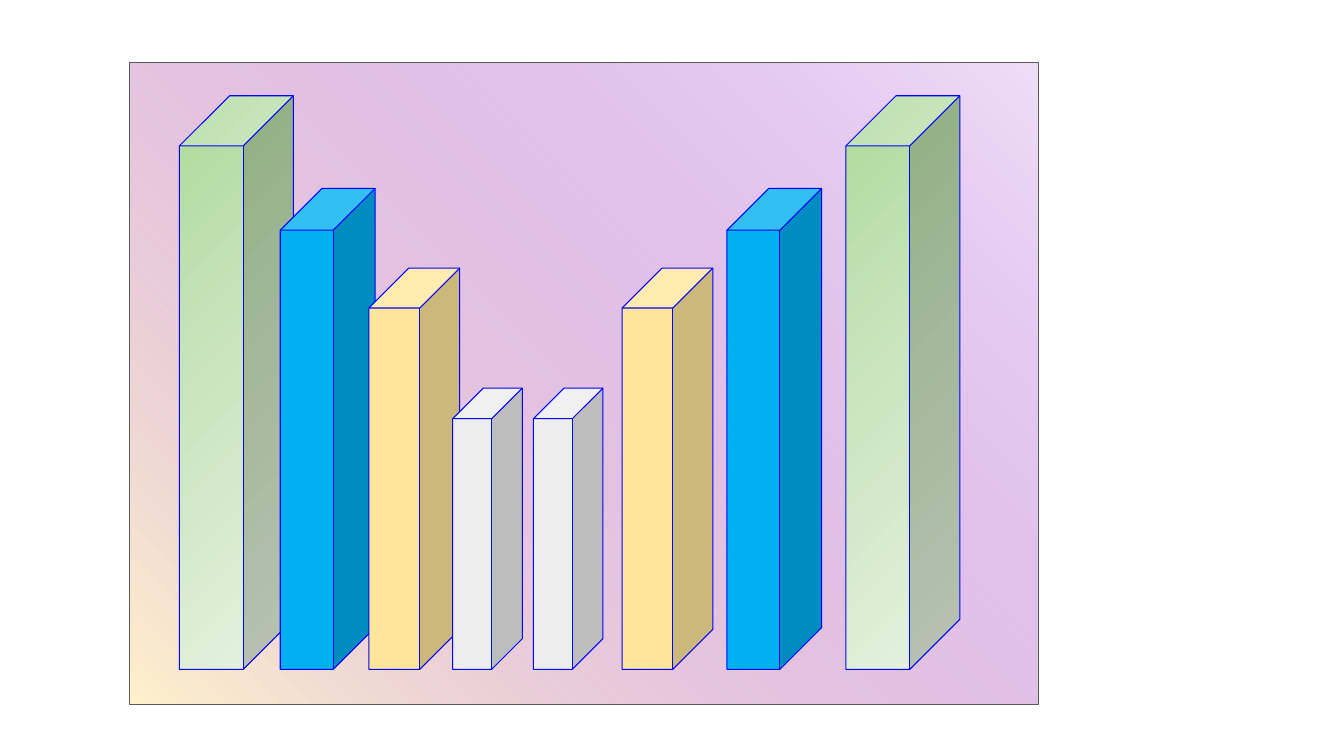
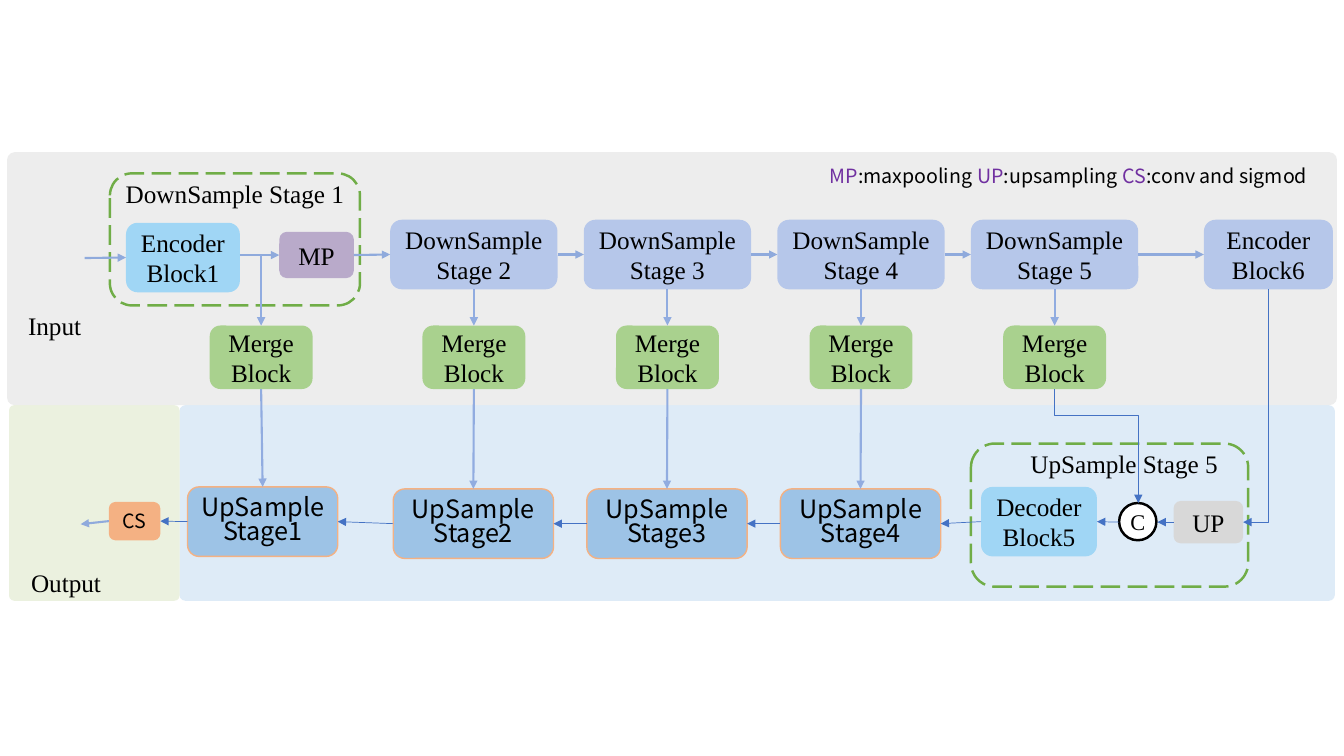
from lxml import etree
from pptx import Presentation
from pptx.dml.color import RGBColor
from pptx.enum.dml import MSO_LINE
from pptx.enum.shapes import MSO_CONNECTOR, MSO_SHAPE
from pptx.enum.text import MSO_ANCHOR, PP_ALIGN
from pptx.oxml.ns import qn
from pptx.util import Inches, Pt

RECT, ROUND, CUBE, OVAL = (MSO_SHAPE.RECTANGLE, MSO_SHAPE.ROUNDED_RECTANGLE,
                           MSO_SHAPE.CUBE, MSO_SHAPE.OVAL)
STRAIGHT, ELBOW = MSO_CONNECTOR.STRAIGHT, MSO_CONNECTOR.ELBOW
LEFT, CENTER = PP_ALIGN.LEFT, PP_ALIGN.CENTER
TOP_ANCHOR, MIDDLE = MSO_ANCHOR.TOP, MSO_ANCHOR.MIDDLE
LONG_DASH = MSO_LINE.LONG_DASH
TOP, LEFT_SIDE, BOTTOM, RIGHT_SIDE = range(4)

SERIF, SANS = "Times New Roman", "Noto Sans CJK SC"

BLACK = RGBColor(0x00, 0x00, 0x00)
WHITE = RGBColor(0xFF, 0xFF, 0xFF)
DARK_GREY = RGBColor(0x59, 0x59, 0x59)
PALE_GREY = RGBColor(0xED, 0xED, 0xED)
MID_GREY = RGBColor(0xD8, 0xD8, 0xD8)
EDGE_BLUE = RGBColor(0x00, 0x00, 0xFF)
BRIGHT_BLUE = RGBColor(0x00, 0xB0, 0xF0)
SAND = RGBColor(0xFF, 0xE6, 0x99)
PANEL_BLUE = RGBColor(0xDE, 0xEB, 0xF7)
PANEL_GREEN = RGBColor(0xEB, 0xF1, 0xDF)
CODER_BLUE = RGBColor(0xA0, 0xD6, 0xF5)
DOWN_BLUE = RGBColor(0xB6, 0xC7, 0xEA)
UP_BLUE = RGBColor(0x9D, 0xC3, 0xE6)
MERGE_GREEN = RGBColor(0xA9, 0xD1, 0x8E)
FRAME_GREEN = RGBColor(0x70, 0xAD, 0x47)
MAUVE = RGBColor(0xB9, 0xAA, 0xCA)
ORANGE = RGBColor(0xF4, 0xB1, 0x83)
PURPLE = RGBColor(0x70, 0x30, 0xA0)

# Gradient stops: position, colour, opacity (all percent but the colour)
LEAF_STOPS = [(0, "AEDA9B", 100), (50, "CDE6C2", 100), (100, "E6F2E1", 100)]
BACKDROP_STOPS = [(0, "FFF2CC", 100), (100, "9F39D5", 17)]

# Arrow styles: colour, width
FLOW = (RGBColor(0x8F, 0xAA, 0xDC), 1.5)
DROP = (RGBColor(0x91, 0xAC, 0xE0), 1.5)
THIN = (RGBColor(0x44, 0x72, 0xC4), 0.5)


def add_box(page, kind, at, fill=None, line=None, width=0.75, adjust=None):
    """Add a preset shape without shadow; no fill or line unless given."""
    box = page.shapes.add_shape(kind, *map(Inches, at))
    box.shadow.inherit = False
    if adjust is not None:
        box.adjustments[0] = adjust
    if fill is None:
        box.fill.background()
    else:
        box.fill.solid()
        box.fill.fore_color.rgb = fill
    if line is None:
        box.line.fill.background()
    else:
        box.line.color.rgb = line
        box.line.width = Pt(width)
    return box


def set_gradient(box, stops, angle):
    """Replace the fill of a box by a linear gradient."""
    old_fill = box.fill._xPr.find(qn("a:noFill"))
    gradient = etree.Element(qn("a:gradFill"), rotWithShape="1")
    stop_list = etree.SubElement(gradient, qn("a:gsLst"))
    for position, colour, opacity in stops:
        stop = etree.SubElement(stop_list, qn("a:gs"), pos=str(position * 1000))
        value = etree.SubElement(stop, qn("a:srgbClr"), val=colour)
        if opacity < 100:
            etree.SubElement(value, qn("a:alpha"), val=str(opacity * 1000))
    etree.SubElement(gradient, qn("a:lin"), ang=str(angle * 60000), scaled="0")
    old_fill.getparent().replace(old_fill, gradient)


def write(box, text, size=18, font=SERIF, align=CENTER, anchor=MIDDLE):
    """Write one paragraph and format its runs."""
    frame = box.text_frame
    frame.word_wrap = True
    frame.vertical_anchor = anchor
    frame.text = text
    para = frame.paragraphs[0]
    para.alignment = align
    for span in para.runs:
        format_span(span, size, font, BLACK)
    return para


def format_span(span, size, font, colour):
    span.font.size = Pt(size)
    span.font.name = font
    span.font.color.rgb = colour


def add_block(page, at, text, fill, **text_style):
    box = add_box(page, ROUND, at, fill)
    write(box, text, **text_style)
    return box


def add_up_stage(page, at, number):
    box = add_box(page, ROUND, at, UP_BLUE, ORANGE, 1)
    write(box, f"UpSample Stage{number}", font=SANS).line_spacing = 0.78
    return box


def add_label(page, at, text, align=LEFT):
    box = page.shapes.add_textbox(*map(Inches, at))
    write(box, text, align=align, anchor=TOP_ANCHOR)


def add_frame(page, at):
    frame = add_box(page, ROUND, at, line=FRAME_GREEN, width=1.75)
    frame.line.dash_style = LONG_DASH


def style_arrow(arrow, style):
    colour, width = style
    arrow.line.color.rgb = colour
    arrow.line.width = Pt(width)
    etree.SubElement(arrow.line._get_or_add_ln(), qn("a:tailEnd"), type="triangle")
    etree.SubElement(arrow._element.spPr, qn("a:effectLst"))


def add_arrow(page, start, end, style):
    """Each end is a point (x, y) or a joint (box, side)."""
    points = []
    for first, second in (start, end):
        joined = hasattr(first, "shape_id")
        points += [0, 0] if joined else [Inches(first), Inches(second)]
    arrow = page.shapes.add_connector(STRAIGHT, *points)
    if hasattr(start[0], "shape_id"):
        arrow.begin_connect(*start)
    if hasattr(end[0], "shape_id"):
        arrow.end_connect(*end)
    style_arrow(arrow, style)


def add_elbow(page, start, end, style, bend=None):
    """Arrow that leaves downwards; with bend it turns twice, else once."""
    across, down = end[0] - start[0], end[1] - start[1]
    middle_x, middle_y = (start[0] + end[0]) / 2, (start[1] + end[1]) / 2
    half = down / 2 if across < 0 else -down / 2
    rise = abs(across) / 2
    arrow = page.shapes.add_connector(
        ELBOW, Inches(middle_x - half), Inches(middle_y - rise),
        Inches(middle_x + half), Inches(middle_y + rise))
    properties = arrow._element.spPr
    turn = 90 if across < 0 else 270
    properties.find(qn("a:xfrm")).set("rot", str(turn * 60000))
    geometry = properties.find(qn("a:prstGeom"))
    if bend is None:
        geometry.set("prst", "bentConnector2")
    else:
        guides = geometry.find(qn("a:avLst"))
        if guides is None:
            guides = etree.SubElement(geometry, qn("a:avLst"))
        etree.SubElement(guides, qn("a:gd"), name="adj1",
                         fmla=f"val {round(bend * 100000)}")
    style_arrow(arrow, style)


def build_pillars(page):
    backdrop = add_box(page, RECT, (1.28, 0.62, 9.02, 6.37), line=DARK_GREY)
    set_gradient(backdrop, BACKDROP_STOPS, 225)
    backdrop._element.spPr.find(qn("a:xfrm")).set("flipH", "1")

    # Mirrored pairs: left of each pillar, width, height, fill
    floor = 6.64
    pairs = [((1.78, 8.39), 1.13, 5.69, None),
             ((2.78, 7.21), 0.94, 4.77, BRIGHT_BLUE),
             ((3.66, 6.17), 0.90, 3.98, SAND),
             ((4.49, 5.29), 0.69, 2.79, PALE_GREY)]
    for lefts, width, height, fill in pairs:
        for left in lefts:
            pillar = add_box(page, CUBE, (left, floor - height, width, height),
                             fill, EDGE_BLUE, adjust=0.44)
            if fill is None:
                set_gradient(pillar, LEAF_STOPS, 45)


def build_network(page):
    # Panels, frames and labels
    for at, fill in [((1.78, 4.02, 11.46, 1.94), PANEL_BLUE),
                     ((0.09, 4.02, 1.69, 1.94), PANEL_GREEN),
                     ((0.07, 1.51, 13.19, 2.51), PALE_GREY)]:
        add_box(page, ROUND, at, fill, adjust=0.03)
    add_frame(page, (1.09, 1.72, 2.48, 1.31))
    add_frame(page, (9.63, 4.4, 2.75, 1.42))
    add_label(page, (0.18, 3.03, 0.94, 0.4), "Input")
    add_label(page, (0.21, 5.58, 0.94, 0.4), "Output")
    add_label(page, (1.09, 1.72, 2.48, 0.4), "DownSample Stage 1", CENTER)
    add_label(page, (9.91, 4.4, 2.48, 0.4), "UpSample Stage 5", CENTER)
    add_legend(page)

    # Encoder row
    encoder = add_block(page, (1.25, 2.21, 1.13, 0.69), "Encoder Block1", CODER_BLUE)
    pooling = add_block(page, (2.77, 2.3, 0.74, 0.46), "MP", MAUVE)
    centers = [4.7 + 1.92 * column for column in range(4)]
    downs = [add_block(page, (center - 0.83, 2.18, 1.66, 0.69),
                       f"DownSample Stage {number}", DOWN_BLUE)
             for number, center in enumerate(centers, 2)]
    last_encoder = add_block(page, (11.94, 2.18, 1.28, 0.69), "Encoder Block6", DOWN_BLUE)
    merges = [add_block(page, (center - 0.51, 3.23, 1.02, 0.63), "Merge Block", MERGE_GREEN)
              for center in [2.59] + centers]

    # Decoder row
    ups = [add_up_stage(page, (1.86, 4.83, 1.49, 0.69), 1)]
    ups += [add_up_stage(page, (center - 0.8, 4.85, 1.59, 0.69), number)
            for number, center in enumerate(centers[:3], 2)]
    decoder = add_block(page, (9.73, 4.83, 1.15, 0.69), "Decoder Block5", CODER_BLUE)
    upsampling = add_block(page, (11.64, 4.97, 0.69, 0.42), "UP", MID_GREY)
    output = add_block(page, (1.08, 4.98, 0.51, 0.38), "CS", ORANGE, size=14, font=SANS)
    concat = add_box(page, OVAL, (11.1, 4.99, 0.37, 0.37), WHITE, BLACK, 1.75)
    write(concat, "C", size=16)
    frame = concat.text_frame
    frame.margin_left = frame.margin_right = frame.margin_top = frame.margin_bottom = 0

    # Arrows along the encoder row
    add_arrow(page, (0.84, 2.56), (encoder, LEFT_SIDE), FLOW)
    add_arrow(page, (2.38, 2.53), (pooling, LEFT_SIDE), FLOW)
    row = [pooling] + downs + [last_encoder]
    for source, target in zip(row, row[1:]):
        add_arrow(page, (source, RIGHT_SIDE), (target, LEFT_SIDE), FLOW)

    # Arrows down through the merge blocks
    add_arrow(page, (2.59, 2.53), (merges[0], TOP), DROP)
    for down, merge in zip(downs, merges[1:]):
        add_arrow(page, (down, BOTTOM), (merge, TOP), DROP)
    for merge, up in zip(merges, ups):
        add_arrow(page, (merge, BOTTOM), (up, TOP), DROP)
    add_elbow(page, (10.46, 3.86), (11.29, 4.99), THIN, bend=0.23)
    add_elbow(page, (12.58, 2.87), (12.33, 5.18), THIN)

    # Arrows back along the decoder row
    add_arrow(page, (upsampling, LEFT_SIDE), (11.48, 5.18), THIN)
    add_arrow(page, (11.1, 5.18), (decoder, RIGHT_SIDE), THIN)
    row = [decoder] + ups[::-1] + [output]
    for source, target in zip(row, row[1:]):
        add_arrow(page, (source, LEFT_SIDE), (target, RIGHT_SIDE), THIN)
    add_arrow(page, (output, LEFT_SIDE), (0.8, 5.2), FLOW)


def add_legend(page):
    box = page.shapes.add_textbox(*map(Inches, (8.13, 1.61, 5.17, 0.34)))
    box.text_frame.word_wrap = True
    para = box.text_frame.paragraphs[0]
    for short, meaning in [("MP", ":maxpooling "), ("UP", ":upsampling "),
                           ("CS", ":conv and sigmod")]:
        for text, colour in ((short, PURPLE), (meaning, BLACK)):
            span = para.add_run()
            span.text = text
            format_span(span, 14, SANS, colour)
    para.line_spacing = 0.85


def main():
    deck = Presentation()
    deck.slide_width, deck.slide_height = Inches(13.33), Inches(7.5)
    blank = deck.slide_layouts[6]
    for build in (build_pillars, build_network):
        build(deck.slides.add_slide(blank))
    deck.save("out.pptx")


if __name__ == "__main__":
    main()
